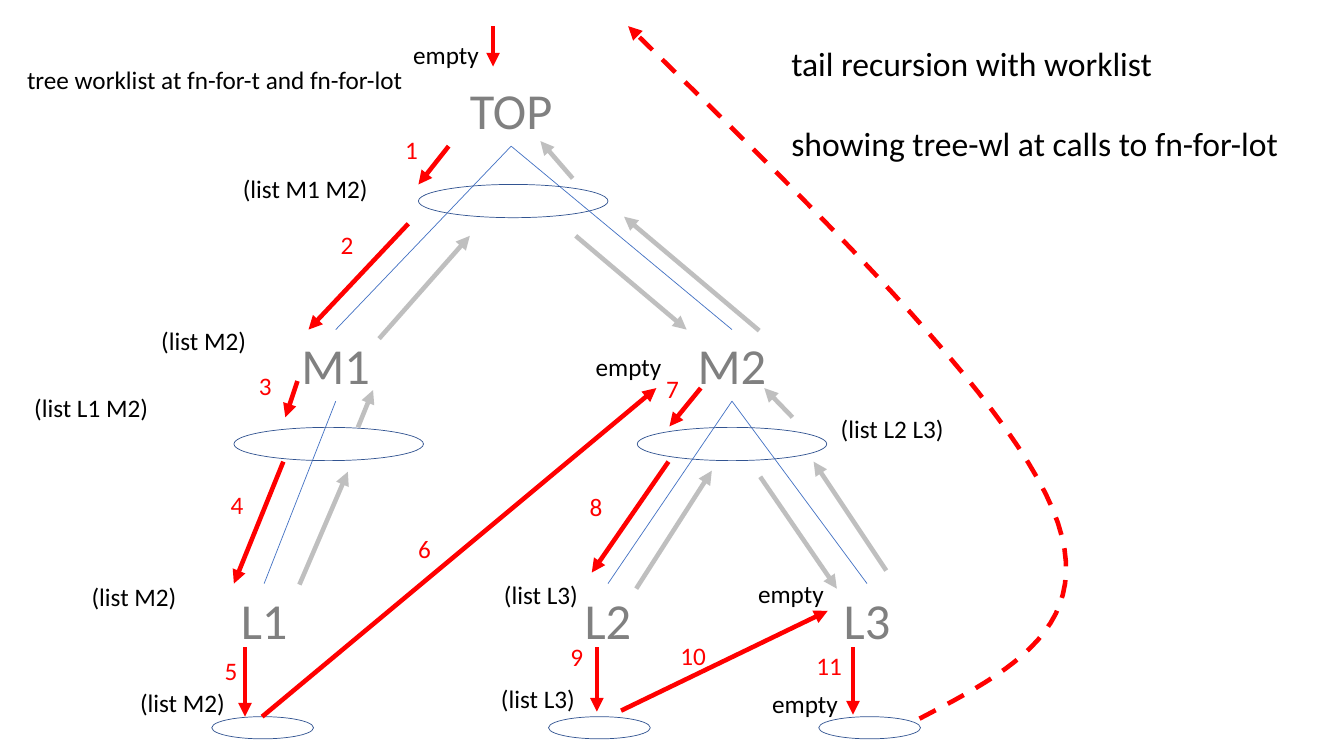
"""Build a slide that traces tail recursion with a worklist over a tree."""
from dataclasses import dataclass

from lxml import etree
from pptx import Presentation
from pptx.dml.color import RGBColor
from pptx.enum.dml import MSO_LINE
from pptx.enum.shapes import MSO_CONNECTOR, MSO_SHAPE
from pptx.enum.text import MSO_AUTO_SIZE, PP_ALIGN
from pptx.oxml.ns import qn
from pptx.util import Cm, Pt

STRAIGHT = MSO_CONNECTOR.STRAIGHT
OVAL = MSO_SHAPE.OVAL
DASH = MSO_LINE.DASH
GROW = MSO_AUTO_SIZE.SHAPE_TO_FIT_TEXT
LEFT, CENTER = PP_ALIGN.LEFT, PP_ALIGN.CENTER

FONT = "Calibri"
COLORS = {"node": "808080", "edge": "4472C4", "list": "325491",
          "call": "FF0000", "return": "BFBFBF", "text": "000000"}
THIN, THICK = 0.5, 3.25
CM_PER_INCH = 2.54
NODE_HEIGHT = 0.71
LABEL_HEIGHT = 0.4
CURVE_STEPS = 24

Point = tuple[float, float]


@dataclass(frozen=True)
class Node:
    """A tree node, placed by its centre line and top."""
    name: str
    center: float
    top: float
    width: float = 0.97


@dataclass(frozen=True)
class Ring:
    """An ellipse standing for a list of subtrees."""
    left: float
    top: float
    width: float
    height: float


@dataclass(frozen=True)
class Arrow:
    """A straight arrow between two points."""
    start: Point
    end: Point
    color: str


@dataclass(frozen=True)
class Label:
    """A piece of text, placed by its left top corner."""
    text: str
    left: float
    top: float
    width: float = 1.35
    height: float = LABEL_HEIGHT
    color: str = "text"
    size: int = 18
    align: PP_ALIGN = LEFT
    wrap: bool = True
    gap: int = 0


TOP = Node("TOP", 5.07, 0.74, 1.23)
M1, M2 = Node("M1", 3.33, 3.27), Node("M2", 7.26, 3.27)
L1, L2, L3 = (Node(name, center, 5.79) for name, center in
              (("L1", 2.62), ("L2", 6.03), ("L3", 8.6)))
NODES = [L1, L2, L3, M1, M2, TOP]
EDGES = [(TOP, M1), (M1, L1), (TOP, M2), (M2, L2), (M2, L3)]

RINGS = [Ring(left, top, 1.88, 0.33)
         for left, top in ((4.15, 1.83), (2.32, 4.24), (6.32, 4.24))]
RINGS += [Ring(left, 7.11, 1.01, 0.22) for left in (2.1, 5.44, 8.12)]

CALLS = [
    ((4.89, 0.26), (4.89, 0.66)), ((4.45, 1.45), (4.15, 1.83)),
    ((4.05, 2.22), (3.06, 3.27)), ((2.95, 3.78), (2.83, 4.14)),
    ((2.81, 4.58), (2.32, 5.79)), ((2.43, 6.42), (2.43, 7.11)),
    ((2.6, 7.11), (6.51, 3.85)), ((6.95, 3.85), (6.64, 4.23)),
    ((6.63, 4.58), (5.87, 5.68)), ((5.92, 6.42), (5.92, 7.06)),
    ((6.16, 7.05), (8.21, 6.06)), ((8.46, 6.42), (8.46, 7.09)),
]
RETURNS = [
    ((2.97, 5.8), (3.45, 4.68)), ((3.55, 4.24), (3.7, 3.87)),
    ((3.76, 3.36), (4.66, 2.34)), ((5.71, 2.34), (6.81, 3.27)),
    ((6.31, 5.84), (7.06, 4.67)), ((7.54, 4.73), (8.3, 5.84)),
    ((8.79, 5.66), (8.07, 4.58)), ((7.86, 4.14), (7.58, 3.85)),
    ((7.53, 3.28), (6.19, 2.15)), ((5.68, 1.77), (5.36, 1.4)),
]
ARROWS = [Arrow(*ends, "return") for ends in RETURNS]
ARROWS += [Arrow(*ends, "call") for ends in CALLS]

STEP_PLACES = [(3.92, 1.28), (3.28, 2.23), (2.47, 3.62), (2.19, 4.81),
               (2.13, 6.45), (4.05, 5.24), (6.51, 3.65), (5.75, 4.83),
               (5.56, 6.31), (6.65, 6.3), (8, 6.4)]
LABELS = [Label(str(step), *place, width=0.33 if step < 10 else 0.46,
                color="call", wrap=False)
          for step, place in enumerate(STEP_PLACES, 1)]
LABELS += [
    Label("tail recursion with worklist\nshowing tree-wl at calls to fn-for-lot",
          7.75, 0.38, 5.4, 1.72, size=24, gap=28),
    Label("tree worklist at fn-for-t and fn-for-lot", 0.17, 0.59, 4.15),
    Label("empty", 4, 0.34, 0.9),
    Label("(list M1 M2)", 2.31, 1.67, 1.67),
    Label("(list M2)", 1.5, 3.18),
    Label("(list L1 M2)", 0.24, 3.84),
    Label("(list M2)", 0.81, 5.72),
    Label("(list M2)", 1.29, 6.77),
    Label("empty", 5.81, 3.44),
    Label("(list L2 L3)", 8.24, 4.05),
    Label("(list L3)", 4.9, 5.7),
    Label("(list L3)", 4.87, 6.73),
    Label("empty", 7.42, 5.69),
    Label("empty", 7.56, 6.78),
]
EXIT_CURVES = [((9.12, 7.13), (10.02, 6.66), (10.92, 6.2), (10.44, 5.05)),
               ((10.44, 5.05), (9.96, 3.9), (8.09, 2.08), (6.23, 0.26))]


def lengths(*inches: float) -> list[Cm]:
    """Turn inches into lengths."""
    return [Cm(value * CM_PER_INCH) for value in inches]


def set_line(shape, color: str, width: float) -> None:
    """Give a shape or connector its line colour and width."""
    shape.line.color.rgb = RGBColor.from_string(COLORS[color])
    shape.line.width = Pt(width)


def add_arrowhead(shape) -> None:
    """Put a triangle at the end of a line."""
    line = shape.element.spPr.find(qn("a:ln"))
    etree.SubElement(line, qn("a:tailEnd"), type="triangle")


def draw_label(page, label: Label) -> None:
    """Draw text, one paragraph for each line."""
    box = page.shapes.add_textbox(
        *lengths(label.left, label.top, label.width, label.height))
    frame = box.text_frame
    frame.text = label.text
    frame.word_wrap = label.wrap
    frame.auto_size = GROW
    for index, para in enumerate(frame.paragraphs):
        para.alignment = label.align
        para.space_before = Pt(label.gap if index else 0)
        for span in para.runs:
            span.font.name = FONT
            span.font.size = Pt(label.size)
            span.font.color.rgb = RGBColor.from_string(COLORS[label.color])


def draw_node(page, node: Node) -> None:
    """Draw the name of a tree node."""
    draw_label(page, Label(node.name, node.center - node.width / 2, node.top,
                           node.width, NODE_HEIGHT, "node", 36, CENTER))


def draw_line(page, start: Point, end: Point, color: str, width: float):
    """Draw a straight line without a shadow."""
    line = page.shapes.add_connector(STRAIGHT, *lengths(*start, *end))
    set_line(line, color, width)
    etree.SubElement(line.element.spPr, qn("a:effectLst"))
    return line


def draw_ring(page, ring: Ring) -> None:
    """Draw an unfilled ellipse."""
    oval = page.shapes.add_shape(
        OVAL, *lengths(ring.left, ring.top, ring.width, ring.height))
    oval.fill.background()
    oval.shadow.inherit = False
    set_line(oval, "list", THIN)


def bezier(points: tuple[Point, ...], t: float) -> Point:
    """Find the point at t on a cubic curve."""
    weights = ((1 - t) ** 3, 3 * t * (1 - t) ** 2, 3 * t ** 2 * (1 - t), t ** 3)
    x, y = (sum(w * v for w, v in zip(weights, axis)) for axis in zip(*points))
    return x, y


def draw_exit(page) -> None:
    """Draw the dashed curve that leaves the recursion."""
    track = [lengths(*bezier(curve, step / CURVE_STEPS))
             for curve in EXIT_CURVES for step in range(1, CURVE_STEPS + 1)]
    builder = page.shapes.build_freeform(*lengths(*EXIT_CURVES[0][0]))
    builder.add_line_segments(track, close=False)
    curve = builder.convert_to_shape()
    curve.fill.background()
    curve.shadow.inherit = False
    set_line(curve, "call", THICK)
    curve.line.dash_style = DASH
    add_arrowhead(curve)


def main() -> None:
    """Build and save the deck."""
    deck = Presentation()
    deck.slide_width, deck.slide_height = lengths(13.33, 7.5)
    page = deck.slides.add_slide(deck.slide_layouts[6])
    for node in NODES:
        draw_node(page, node)
    for parent, child in EDGES:
        draw_line(page, (parent.center, parent.top + NODE_HEIGHT),
                  (child.center, child.top), "edge", THIN)
    for ring in RINGS:
        draw_ring(page, ring)
    for arrow in ARROWS:
        add_arrowhead(draw_line(page, arrow.start, arrow.end, arrow.color, THICK))
    for label in LABELS:
        draw_label(page, label)
    draw_exit(page)
    deck.save("out.pptx")


if __name__ == "__main__":
    main()
